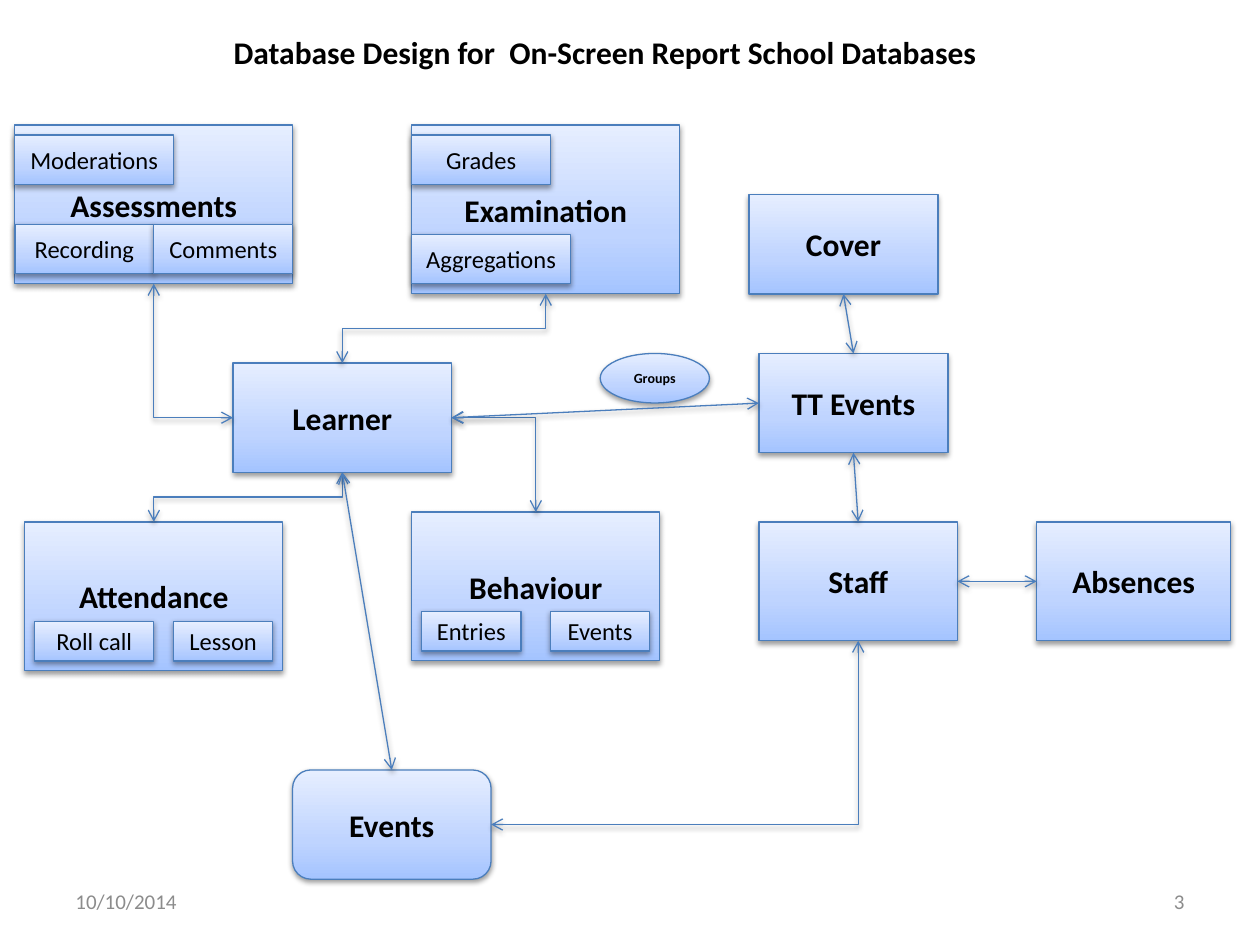
from lxml import etree
from pptx import Presentation
from pptx.dml.color import RGBColor
from pptx.enum.shapes import MSO_CONNECTOR, MSO_SHAPE
from pptx.enum.text import MSO_ANCHOR, MSO_AUTO_SIZE, PP_ALIGN
from pptx.oxml.ns import qn
from pptx.util import Pt

RECT, ROUNDED, OVAL = MSO_SHAPE.RECTANGLE, MSO_SHAPE.ROUNDED_RECTANGLE, MSO_SHAPE.OVAL
STRAIGHT, ELBOW = MSO_CONNECTOR.STRAIGHT, MSO_CONNECTOR.ELBOW
LEFT, CENTER, RIGHT = PP_ALIGN.LEFT, PP_ALIGN.CENTER, PP_ALIGN.RIGHT
TOP_ANCHOR, MIDDLE = MSO_ANCHOR.TOP, MSO_ANCHOR.MIDDLE
TOP_SIDE, LEFT_SIDE, BOTTOM_SIDE, RIGHT_SIDE = range(4)

COLORS = {
    "ink": "000000",
    "muted": "8C8C8C",
    "line": "4B7EBC",
    "deep": "A4C4FF",
    "mid": "BFD4FF",
    "pale": "E6EEFF",
}


def write(shape, text, size=18, bold=False, color="ink", align=CENTER, anchor=MIDDLE):
    frame = shape.text_frame
    frame.word_wrap = True
    frame.auto_size = MSO_AUTO_SIZE.NONE
    frame.vertical_anchor = anchor
    paragraph = frame.paragraphs[0]
    paragraph.alignment = align
    run = paragraph.add_run()
    run.text = text
    run.font.name = "Calibri"
    run.font.size = Pt(size)
    run.font.bold = bold
    run.font.color.rgb = RGBColor.from_string(COLORS[color])


class Diagram:
    stops = ((0, "deep"), (35, "mid"), (100, "pale"))

    def __init__(self, slide):
        self.slide = slide

    def outline(self, element):
        element.line.color.rgb = RGBColor.from_string(COLORS["line"])
        element.line.width = Pt(0.75)

    def color_node(self, parent, color):
        return etree.SubElement(parent, qn("a:srgbClr"), val=COLORS[color])

    def shade(self, properties):
        effects = properties.find(qn("a:effectLst"))
        if effects is None:
            effects = etree.SubElement(properties, qn("a:effectLst"))
        shadow = etree.SubElement(
            effects, qn("a:outerShdw"), blurRad=str(Pt(3.1)), dist=str(Pt(1.6)),
            dir="5400000", rotWithShape="0")
        etree.SubElement(self.color_node(shadow, "ink"), qn("a:alpha"), val="38000")

    def title(self, text, box):
        heading = self.slide.shapes.title
        heading.left, heading.top, heading.width, heading.height = map(Pt, box)
        write(heading, text, bold=True, anchor=TOP_ANCHOR)

    def label(self, text, box, **style):
        write(self.slide.shapes.add_textbox(*map(Pt, box)), text, **style)

    def entity(self, text, box, kind=RECT, size=18, bold=True):
        entity = self.slide.shapes.add_shape(kind, *map(Pt, box))
        entity.shadow.inherit = False
        entity.fill.gradient()
        entity.fill.gradient_angle = 90
        properties = entity._element.spPr
        gradient = properties.find(qn("a:gradFill")).find(qn("a:gsLst"))
        for stop in list(gradient):
            gradient.remove(stop)
        for position, color in self.stops:
            stop = etree.SubElement(gradient, qn("a:gs"), pos=str(position * 1000))
            self.color_node(stop, color)
        self.outline(entity)
        self.shade(properties)
        write(entity, text, size=size, bold=bold)
        return entity

    def relation(self, start, start_side, end, end_side, kind=STRAIGHT):
        relation = self.slide.shapes.add_connector(kind, 0, 0, 0, 0)
        relation.begin_connect(start, start_side)
        relation.end_connect(end, end_side)
        self.outline(relation)
        line = relation.line._get_or_add_ln()
        for tip in ("a:headEnd", "a:tailEnd"):
            etree.SubElement(line, qn(tip), type="arrow")
        self.shade(relation._element.spPr)
        return relation

    def corner(self, *ends):
        relation = self.relation(*ends, kind=ELBOW)
        relation._element.spPr.find(qn("a:prstGeom")).set("prst", "bentConnector2")

    def step_down_left(self, upper, lower):
        relation = self.relation(upper, BOTTOM_SIDE, lower, TOP_SIDE, kind=ELBOW)
        width, height = relation.width, relation.height
        relation.left += (width - height) // 2
        relation.top += (height - width) // 2
        relation.width, relation.height = height, width
        frame = relation._element.spPr.find(qn("a:xfrm"))
        frame.attrib.pop("flipH", None)
        frame.set("rot", "5400000")


deck = Presentation()
deck.slide_width, deck.slide_height = Pt(720), Pt(540)
diagram = Diagram(deck.slides.add_slide(deck.slide_layouts[5]))

diagram.title("Database Design for  On-Screen Report School Databases", (99.2, 15, 493.2, 29))

learner = diagram.entity("Learner", (133.2, 207.5, 124.8, 62.4))
attendance = diagram.entity("Attendance", (14.2, 298.2, 147.4, 85))
behaviour = diagram.entity("Behaviour", (235.3, 292.6, 141.7, 85))
assessments = diagram.entity("Assessments", (8.5, 71.5, 158.8, 90.7))
examination = diagram.entity("Examination", (235.3, 71.5, 153.1, 96.4))
tt_events = diagram.entity("TT Events", (433.7, 202, 108, 56.7))
cover = diagram.entity("Cover", (428, 111.3, 108, 56.7))
staff = diagram.entity("Staff", (433.7, 298.2, 113.4, 68))
absences = diagram.entity("Absences", (592.4, 298.2, 110.8, 68))
events = diagram.entity("Events", (167.2, 440, 113.4, 62.4), kind=ROUNDED)
diagram.entity("Groups", (343, 202, 62.4, 28.3), kind=OVAL, size=8)

for text, box in (
    ("Roll call", (19.9, 355, 68, 22.7)),
    ("Lesson", (99.2, 355, 56.7, 22.7)),
    ("Entries", (241, 349.3, 56.7, 22.7)),
    ("Events", (314.6, 349.3, 56.7, 22.7)),
    ("Recording", (8.5, 128.2, 79.4, 28.3)),
    ("Moderations", (8.5, 77.2, 90.7, 28.3)),
    ("Comments", (87.9, 128.2, 79.4, 28.3)),
    ("Grades", (235.3, 77.2, 79.4, 28.3)),
    ("Aggregations", (235.3, 133.9, 90.7, 28.3)),
):
    diagram.entity(text, box, size=14, bold=False)

diagram.step_down_left(examination, learner)
diagram.step_down_left(learner, attendance)
for ends in (
    (learner, LEFT_SIDE, assessments, BOTTOM_SIDE),
    (learner, RIGHT_SIDE, behaviour, TOP_SIDE),
    (events, RIGHT_SIDE, staff, BOTTOM_SIDE),
):
    diagram.corner(*ends)
for ends in (
    (learner, RIGHT_SIDE, tt_events, LEFT_SIDE),
    (tt_events, BOTTOM_SIDE, staff, TOP_SIDE),
    (cover, BOTTOM_SIDE, tt_events, TOP_SIDE),
    (staff, RIGHT_SIDE, absences, LEFT_SIDE),
    (learner, BOTTOM_SIDE, events, TOP_SIDE),
):
    diagram.relation(*ends)

for text, left, align in (("10/10/2014", 36, LEFT), ("3", 516, RIGHT)):
    diagram.label(text, (left, 500.5, 168, 28.75), size=12, color="muted", align=align)

deck.save("out.pptx")
